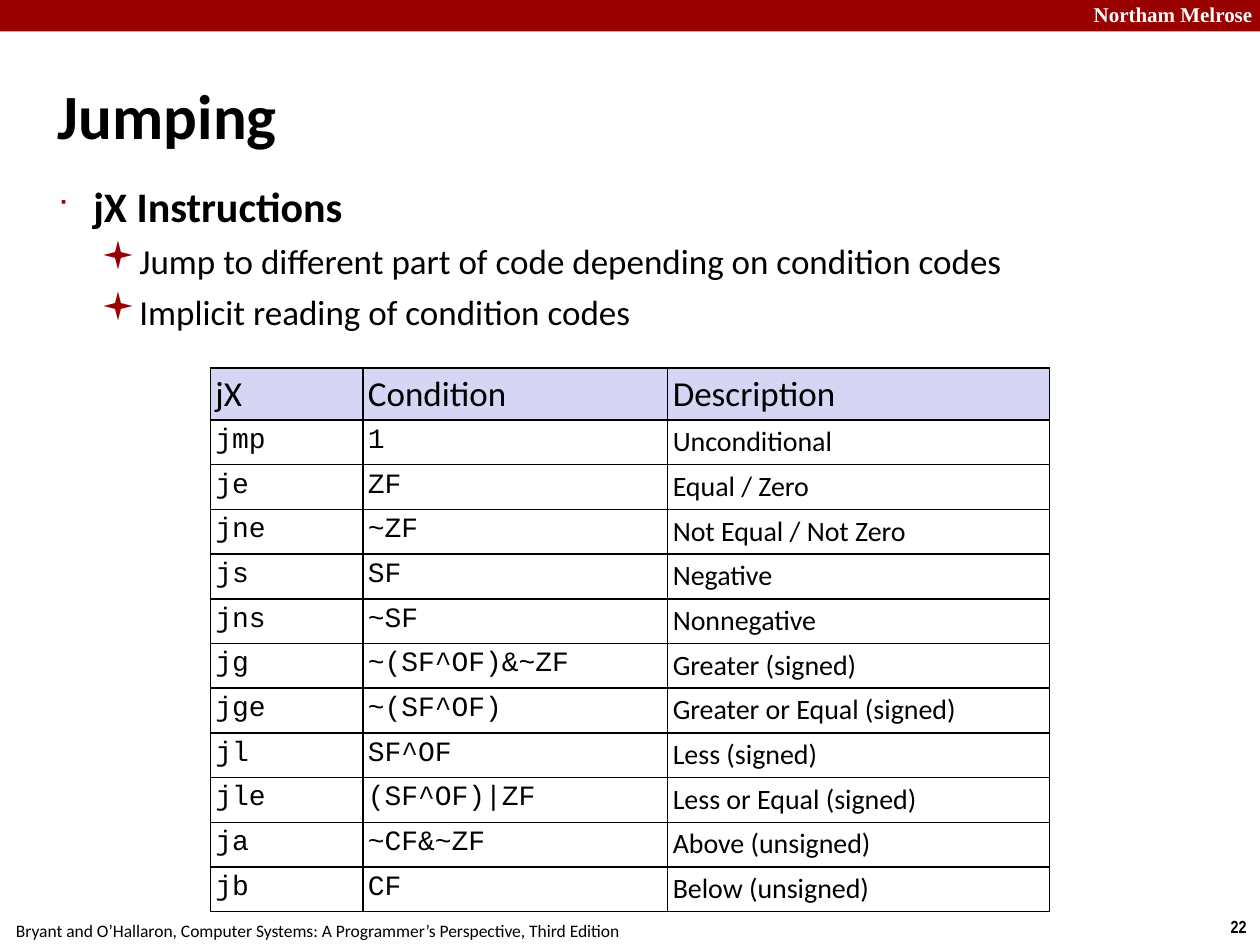
import pptx
import pptx.dml.color
import pptx.enum.shapes
import pptx.enum.text
import pptx.oxml.ns
import pptx.util
from lxml import etree

Inches = pptx.util.Inches
Pt = pptx.util.Pt
RGBColor = pptx.dml.color.RGBColor
ALIGN = pptx.enum.text.PP_ALIGN
ANCHOR = pptx.enum.text.MSO_ANCHOR

RED = RGBColor(0x99, 0x00, 0x00)
LAVENDER = RGBColor(0xD6, 0xD6, 0xF4)
BLACK = RGBColor(0, 0, 0)
WHITE = RGBColor(255, 255, 255)
INSET = 0.04

TITLE = "Jumping"
# text, level, size, bold, left margin, hanging indent, space before, bullet, bullet %
BULLETS = [
    ("jX Instructions", 0, 24, True, 0.28, 0.28, 6, "■", 60),
    ("Jump to different part of code depending on condition codes",
     1, 20, False, 0.6, 0.26, 5, "▪", 110),
    ("Implicit reading of condition codes", 1, 20, False, 0.6, 0.26, 5, "▪", 110),
]
JUMPS = [
    ("jX", "Condition", "Description"),
    ("jmp", "1", "Unconditional"),
    ("je", "ZF", "Equal / Zero"),
    ("jne", "~ZF", "Not Equal / Not Zero"),
    ("js", "SF", "Negative"),
    ("jns", "~SF", "Nonnegative"),
    ("jg", "~(SF^OF)&~ZF", "Greater (signed)"),
    ("jge", "~(SF^OF)", "Greater or Equal (signed)"),
    ("jl", "SF^OF", "Less (signed)"),
    ("jle", "(SF^OF)|ZF", "Less or Equal (signed)"),
    ("ja", "~CF&~ZF", "Above (unsigned)"),
    ("jb", "CF", "Below (unsigned)"),
]
COLUMN_WIDTHS = [1.21, 2.42, 3.03]
HEADER_HEIGHT, ROW_HEIGHT = 0.41, 0.355
PAGE_NUMBER = "22"
FOOTER = "Bryant and O’Hallaron, Computer Systems: A Programmer’s Perspective, Third Edition"
SCHOOL = "Northam Melrose"


def add_run(paragraph, text, size, font="Calibri", color=BLACK, bold=False):
    run = paragraph.add_run()
    run.text = text
    run.font.size = Pt(size)
    run.font.name = font
    run.font.bold = bold
    run.font.color.rgb = color


def add_child(parent, tag, **attributes):
    child = etree.SubElement(parent, pptx.oxml.ns.qn(tag))
    for name, value in attributes.items():
        child.set(name, str(value))
    return child


def set_insets(target):
    """Give a text frame or a table cell the slide's narrow margins."""
    target.margin_left = target.margin_right = Inches(INSET)
    target.margin_top = target.margin_bottom = Inches(INSET)


def place(shape, left, top, width, height):
    shape.left, shape.top = Inches(left), Inches(top)
    shape.width, shape.height = Inches(width), Inches(height)


def set_hanging(paragraph, margin, hanging):
    properties = paragraph._p.get_or_add_pPr()
    properties.set("marL", str(Inches(margin)))
    properties.set("indent", str(-Inches(hanging)))
    return properties


def add_label(slide, box, text, wrap, align, **style):
    frame = slide.shapes.add_textbox(*map(Inches, box)).text_frame
    frame.word_wrap = wrap
    frame.paragraphs[0].alignment = align
    add_run(frame.paragraphs[0], text, **style)
    return frame


def add_page_furniture(slide):
    add_label(slide, (9.66, 7.22, 0.34, 0.27), PAGE_NUMBER, False, ALIGN.CENTER,
              size=10, font="Arial Narrow", bold=True)
    add_label(slide, (-0.02, 7.25, 5.08, 0.27), FOOTER, False, ALIGN.CENTER, size=10)
    band = slide.shapes.add_shape(pptx.enum.shapes.MSO_SHAPE.RECTANGLE,
                                  0, 0, Inches(10.01), Inches(0.25))
    band.shadow.inherit = False
    band.fill.solid()
    band.fill.fore_color.rgb = RED
    band.line.fill.background()
    set_insets(add_label(slide, (8.64, -0.03, 1.44, 0.28), SCHOOL, True, ALIGN.LEFT,
                         size=12, font="Times New Roman", color=WHITE, bold=True))


def fill_title(title):
    place(title, 0.42, 0.28, 9.17, 1.25)
    frame = title.text_frame
    set_insets(frame)
    frame.auto_size = pptx.enum.text.MSO_AUTO_SIZE.NONE
    frame.vertical_anchor = ANCHOR.MIDDLE
    paragraph = frame.paragraphs[0]
    paragraph.alignment = ALIGN.LEFT
    set_hanging(paragraph, 0.13, 0.13)
    add_run(paragraph, TITLE, 36, bold=True)


def fill_body(body):
    place(body, 0.42, 1.39, 9.17, 0.94)
    frame = body.text_frame
    set_insets(frame)
    frame.auto_size = pptx.enum.text.MSO_AUTO_SIZE.NONE
    for index, (text, level, size, bold, margin, hanging, before, mark, percent) in enumerate(BULLETS):
        paragraph = frame.add_paragraph() if index else frame.paragraphs[0]
        paragraph.level = level
        paragraph.space_before = Pt(before)
        properties = set_hanging(paragraph, margin, hanging)
        add_child(add_child(properties, "a:buClr"), "a:srgbClr", val=RED)
        add_child(properties, "a:buSzPct", val=percent * 1000)
        add_child(properties, "a:buFont", typeface="Wingdings")
        add_child(properties, "a:buChar", char=mark)
        add_run(paragraph, text, size, bold=bold)


def add_borders(cell):
    properties = cell._tc.get_or_add_tcPr()
    for side in ("a:lnL", "a:lnR", "a:lnT", "a:lnB"):
        line = add_child(properties, side, w=Pt(1))
        add_child(add_child(line, "a:solidFill"), "a:srgbClr", val=BLACK)


def add_jump_table(slide):
    height = HEADER_HEIGHT + ROW_HEIGHT * (len(JUMPS) - 1)
    table = slide.shapes.add_table(len(JUMPS), len(COLUMN_WIDTHS), Inches(1.67), Inches(2.92),
                                   Inches(sum(COLUMN_WIDTHS)), Inches(height)).table
    table.first_row = table.horz_banding = False
    for column, width in zip(table.columns, COLUMN_WIDTHS):
        column.width = Inches(width)
    for row_index, texts in enumerate(JUMPS):
        header = row_index == 0
        table.rows[row_index].height = Inches(HEADER_HEIGHT if header else ROW_HEIGHT)
        for column_index, text in enumerate(texts):
            cell = table.cell(row_index, column_index)
            set_insets(cell)
            add_borders(cell)
            if header:
                cell.fill.solid()
                cell.fill.fore_color.rgb = LAVENDER
            else:
                cell.fill.background()
            code = not header and column_index < 2
            add_run(cell.text_frame.paragraphs[0], text, 20 if header else 16,
                    "Courier New" if code else "Calibri")


def main():
    presentation = pptx.Presentation()
    presentation.slide_width, presentation.slide_height = Inches(10), Inches(7.5)
    slide = presentation.slides.add_slide(presentation.slide_layouts[1])
    add_page_furniture(slide)
    fill_title(slide.shapes.title)
    fill_body(slide.placeholders[1])
    add_jump_table(slide)
    presentation.save("out.pptx")


if __name__ == "__main__":
    main()
